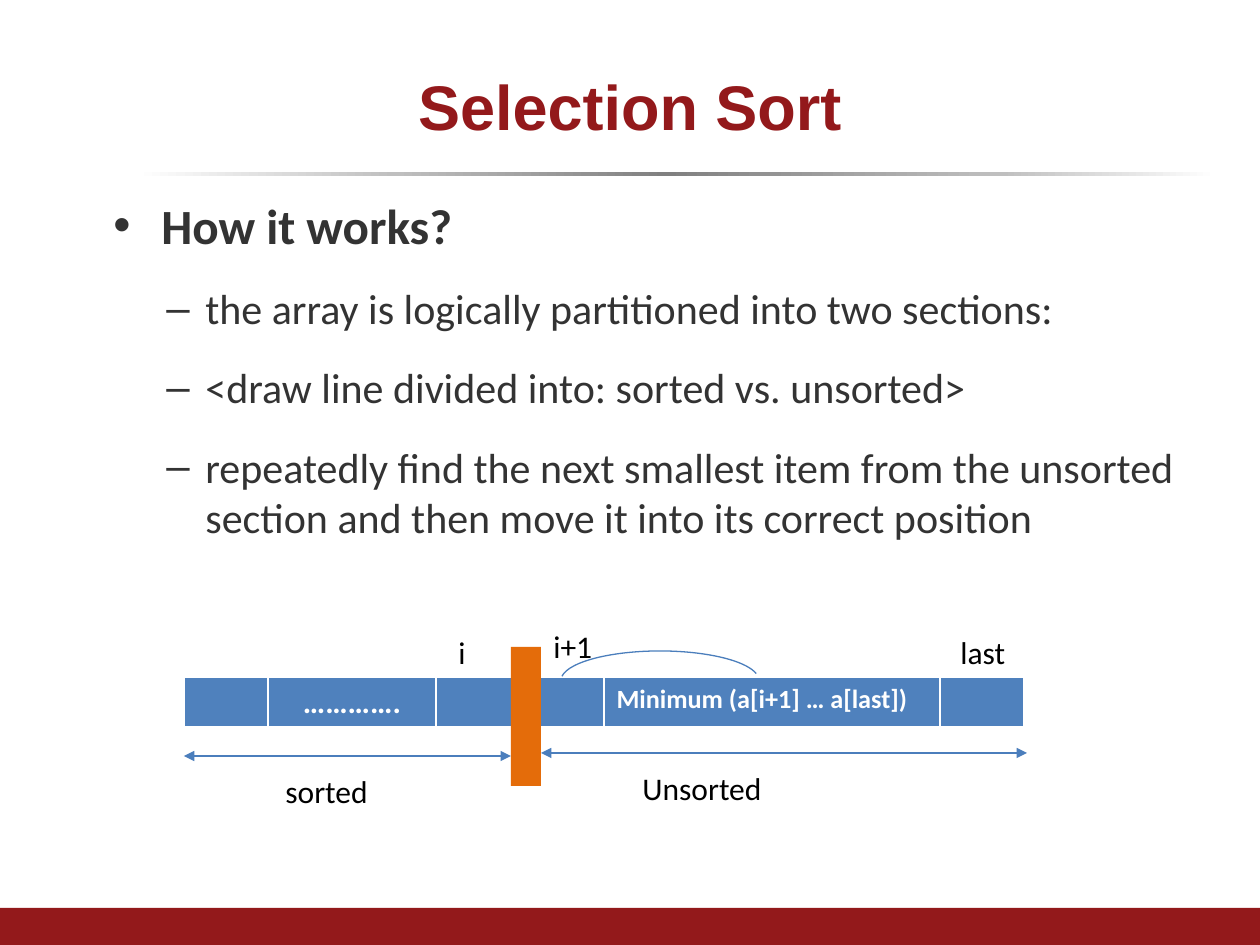
from dataclasses import dataclass

from lxml import etree
from pptx import Presentation
from pptx import util as u
from pptx.dml.color import RGBColor
from pptx.enum import shapes, text
from pptx.oxml.ns import qn


@dataclass(frozen=True)
class Theme:
    crimson: str = "93191B"
    ink: str = "333333"
    black: str = "000000"
    white: str = "FFFFFF"
    cell: str = "4F81BD"
    stroke: str = "4B7EBC"
    divider: str = "E46C0A"
    rule_stops: tuple = ((0, "FFFFFF"), (24, "BFBFBF"), (49, "808080"),
                         (80, "BFBFBF"), (100, "FFFFFF"))
    heading_font: str = "Arial"
    body_font: str = "Calibri"
    title_size: float = 36
    lead_size: float = 28.1
    point_size: float = 24
    label_size: float = 18
    minimum_size: float = 15


THEME = Theme()
PX_PER_INCH = 126
SLIDE_SIZE = (1260, 945)
CELL_UNIT = 84
ARRAY_CELLS = (
    (1, "", THEME.label_size),
    (2, "………….", THEME.label_size),
    (1, "", THEME.label_size),
    (1, "", THEME.label_size),
    (4, "Minimum (a[i+1] … a[last])", THEME.minimum_size),
    (1, "", THEME.label_size),
)
POINTS = (
    "the array is logically partitioned into two sections:",
    "<draw line divided into: sorted vs. unsorted>",
    "repeatedly find the next smallest item from the unsorted section "
    "and then move it into its correct position",
)


def px(length):
    return u.Emu(round(length * u.Inches(1) / PX_PER_INCH))


def box(*lengths):
    return [px(length) for length in lengths]


def rgb(color):
    return RGBColor.from_string(color)


def add(parent, tag, **attributes):
    return etree.SubElement(parent, qn(tag), attributes)


def write(paragraph, words, size=THEME.label_size, color=THEME.black,
          font=THEME.body_font, bold=False, align=None):
    run = paragraph.add_run()
    run.text = words
    run.font.size = u.Pt(size)
    run.font.name = font
    run.font.bold = bold
    run.font.color.rgb = rgb(color)
    if align is not None:
        paragraph.alignment = align


def add_title(slide, words):
    title = slide.shapes.title
    title.left, title.top, title.width, title.height = box(63, 38, 1134, 135)
    title.text_frame.vertical_anchor = text.MSO_ANCHOR.MIDDLE
    write(title.text_frame.paragraphs[0], words, THEME.title_size, THEME.crimson,
          THEME.heading_font, True, text.PP_ALIGN.CENTER)


def add_bar(slide, place, color):
    bar = slide.shapes.add_shape(shapes.MSO_SHAPE.RECTANGLE, *box(*place))
    bar.shadow.inherit = False
    bar.line.fill.background()
    bar.fill.solid()
    bar.fill.fore_color.rgb = rgb(color)
    return bar


def add_title_rule(slide):
    rule = add_bar(slide, (136, 172, 1081, 4), THEME.white)
    rule.fill.gradient()
    rule.fill.gradient_angle = 0
    stops = rule.fill._fill._gradFill.find(qn("a:gsLst"))
    for stop in list(stops):
        stops.remove(stop)
    for percent, color in THEME.rule_stops:
        stop = add(stops, "a:gs", pos=str(percent * 1000))
        add(stop, "a:srgbClr", val=color)


def add_bullet(paragraph, mark, indent, hanging):
    properties = paragraph._p.get_or_add_pPr()
    properties.set("marL", str(px(indent)))
    properties.set("indent", str(-px(hanging)))
    add(properties, "a:buFont", typeface=THEME.heading_font)
    add(properties, "a:buChar", char=mark)


def add_explanation(slide):
    frame = slide.shapes.add_textbox(*box(63, 189, 1134, 714)).text_frame
    frame.word_wrap = True
    lead = frame.paragraphs[0]
    add_bullet(lead, "•", 86, 48)
    write(lead, "How it works?", THEME.lead_size, THEME.ink, bold=True)
    for words in POINTS:
        point = frame.add_paragraph()
        point.level = 1
        add_bullet(point, "–", 130, 39)
        point.space_before = u.Pt(16.4)
        write(point, words, THEME.point_size, THEME.ink)


def add_cell_borders(cell):
    properties = cell._tc.get_or_add_tcPr()
    for order, (side, width) in enumerate((("L", 1), ("R", 1), ("T", 1), ("B", 3))):
        border = add(properties, f"a:ln{side}", w=str(u.Pt(width)))
        add(add(border, "a:solidFill"), "a:srgbClr", val=THEME.white)
        properties.insert(order, border)


def add_array(slide):
    units = sum(span for span, _, _ in ARRAY_CELLS)
    array = slide.shapes.add_table(
        1, len(ARRAY_CELLS), *box(184, 677, units * CELL_UNIT, 51)).table
    for index, (span, words, size) in enumerate(ARRAY_CELLS):
        array.columns[index].width = px(span * CELL_UNIT)
        cell = array.cell(0, index)
        cell.fill.solid()
        cell.fill.fore_color.rgb = rgb(THEME.cell)
        add_cell_borders(cell)
        if words:
            centred = text.PP_ALIGN.CENTER if size == THEME.label_size else None
            write(cell.text_frame.paragraphs[0], words, size, THEME.white,
                  bold=True, align=centred)


def add_range_arrow(slide, start, end, y):
    arrow = slide.shapes.add_connector(
        shapes.MSO_CONNECTOR.STRAIGHT, *box(start, y, end, y))
    arrow.line.color.rgb = rgb(THEME.stroke)
    arrow.line.width = u.Pt(1.5)
    line = arrow.line._get_or_add_ln()
    for end_tag in ("a:headEnd", "a:tailEnd"):
        add(line, end_tag, type="triangle")
    add(arrow._element.spPr, "a:effectLst")


def add_swap_arc(slide):
    arc = slide.shapes.add_shape(shapes.MSO_SHAPE.ARC, *box(561, 651, 198, 59))
    arc.shadow.inherit = False
    arc.adjustments[0] = 109.46
    arc.adjustments[1] = 213.55
    arc.fill.background()
    arc.line.color.rgb = rgb(THEME.stroke)
    arc.line.width = u.Pt(0.75)


def add_label(slide, words, left, top, width, wrap=False):
    frame = slide.shapes.add_textbox(*box(left, top, width, 50)).text_frame
    frame.word_wrap = wrap
    frame.auto_size = text.MSO_AUTO_SIZE.SHAPE_TO_FIT_TEXT
    write(frame.paragraphs[0], words)


def main():
    deck = Presentation()
    deck.slide_width, deck.slide_height = box(*SLIDE_SIZE)
    slide = deck.slides.add_slide(deck.slide_layouts.get_by_name("Title Only"))
    add_title_rule(slide)
    add_bar(slide, (0, 908, 1260, 37), THEME.crimson)
    add_title(slide, "Selection Sort")
    add_explanation(slide)
    add_array(slide)
    add_bar(slide, (511, 647, 30, 139), THEME.divider)
    add_range_arrow(slide, 184, 511, 756)
    add_label(slide, "sorted", 273, 766, 139, wrap=True)
    add_range_arrow(slide, 541, 1027, 753)
    add_label(slide, "Unsorted", 630, 763, 218, wrap=True)
    add_swap_arc(slide)
    add_label(slide, "i+1", 541, 621, 64)
    add_label(slide, "i", 446, 627, 33)
    add_label(slide, "last", 948, 627, 71)
    deck.save("out.pptx")


if __name__ == "__main__":
    main()
